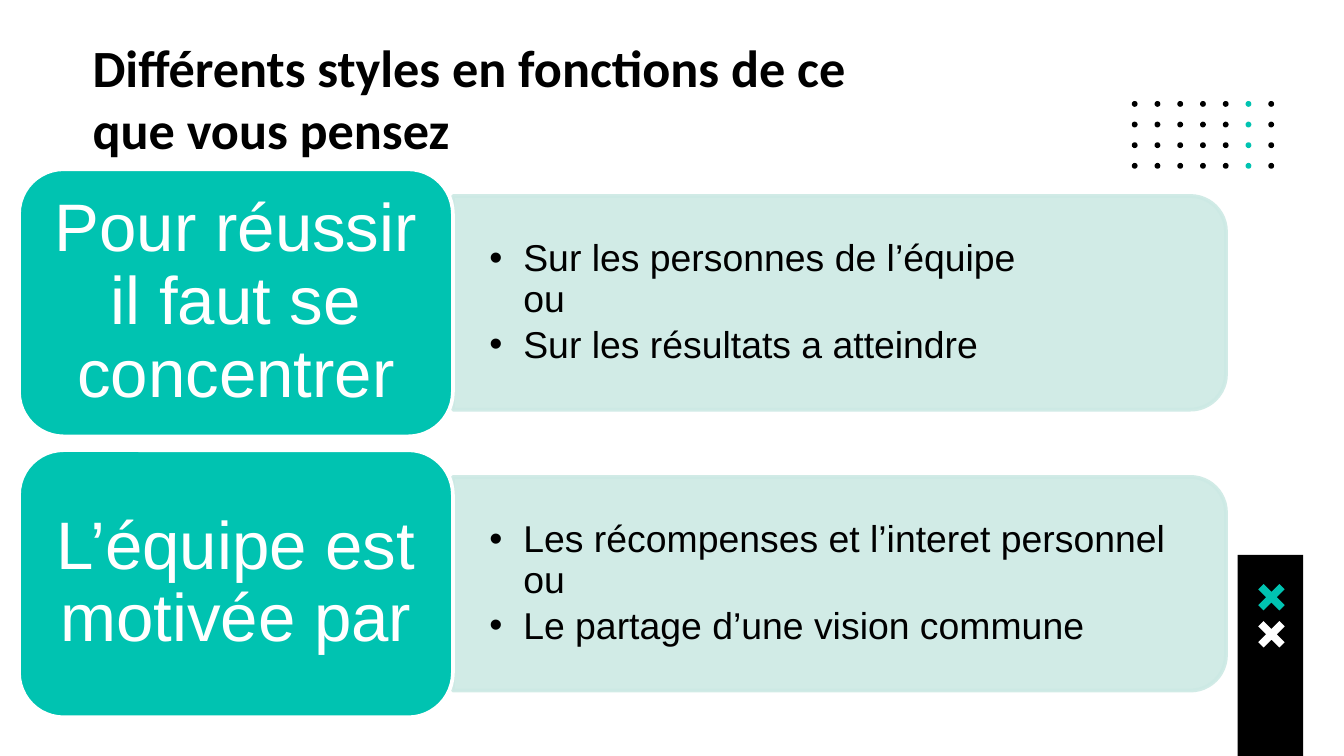
from copy import deepcopy
from lxml import etree
from pptx import Presentation
from pptx.dml.color import RGBColor
from pptx.enum.shapes import MSO_SHAPE
from pptx.enum.text import MSO_ANCHOR, MSO_AUTO_SIZE, PP_ALIGN
from pptx.oxml.ns import qn
from pptx.util import Cm, Pt

OVAL, RECT = MSO_SHAPE.OVAL, MSO_SHAPE.RECTANGLE
ROUND, ROUND_TOP = MSO_SHAPE.ROUNDED_RECTANGLE, MSO_SHAPE.ROUND_2_SAME_RECTANGLE
TOP, MIDDLE = MSO_ANCHOR.TOP, MSO_ANCHOR.MIDDLE
LEFT, CENTER = PP_ALIGN.LEFT, PP_ALIGN.CENTER
NO_FIT = MSO_AUTO_SIZE.NONE

TITLE = "Différents styles en fonctions de ce que vous pensez"
ROWS = [
    ("Pour réussir il faut se concentrer",
     ["Sur les personnes de l’équipe\vou", "Sur les résultats a atteindre"]),
    ("L’équipe est motivée par",
     ["Les récompenses et l’interet personnel\vou",
      "Le partage d’une vision commune"]),
]
THEME = {
    "accent": "00C3B1", "pale": "CCE9E4", "dark": "000000", "light": "FFFFFF",
    "title_font": "Calibri", "body_font": "Arial",
    "title": 28, "head": 36, "list": 20, "outline": 2,
}

HEAD_X, HEAD_Y, HEAD_W, HEAD_H, ROW_STEP = 0.36, 3.2, 8.2, 5.05, 5.31
PANEL_W, PANEL_H = 14.61, 4.04
LIST_W, LIST_H = 14.4, 3.66
DOT_X, DOT_Y, DOT_SIZE, DOT_DX, DOT_DY = 21.39, 1.91, 0.11, 0.43, 0.39
DOT_COLS, DOT_ROWS, ACCENT_COL = 7, 4, 5
BAR = (23.39, 10.49, 1.24, 3.8)
CROSSES = [(24.03, 11.29, "accent"), (24.03, 11.99, "light")]
CROSS_ARM = [(-0.25, -0.15), (-0.1, 0), (-0.25, 0.15)]


def color(name):
    return RGBColor.from_string(THEME[name])


def paint(sp, fill, line=None):
    sp.shadow.inherit = False
    sp.fill.solid()
    sp.fill.fore_color.rgb = color(fill)
    if line:
        sp.line.color.rgb = color(line)
        sp.line.width = Pt(THEME["outline"])
    else:
        sp.line.fill.background()


def add_shape(s, kind, box, fill, line=None):
    sp = s.shapes.add_shape(kind, *map(Cm, box))
    paint(sp, fill, line)
    return sp


def place(sp, box):
    sp.left, sp.top, sp.width, sp.height = map(Cm, box)


def set_frame(tf, anchor, dx, dy):
    tf.word_wrap = True
    tf.auto_size = NO_FIT
    tf.vertical_anchor = anchor
    tf.margin_left = tf.margin_right = Cm(dx)
    tf.margin_top = tf.margin_bottom = Cm(dy)


def set_type(p, size, font, ink, align, bold=False):
    p.alignment = align
    for r in p.runs:
        r.font.size = Pt(THEME[size])
        r.font.name = THEME[font]
        r.font.color.rgb = color(ink)
        r.font.bold = bold
    for br in p._p.findall(qn("a:br")):
        br.append(deepcopy(p.runs[0]._r.rPr))


def add_bullet(p):
    pPr = p._p.get_or_add_pPr()
    pPr.set("marL", str(Cm(0.64)))
    pPr.set("indent", str(Cm(-0.64)))
    tint = etree.SubElement(pPr, qn("a:buClr"))
    etree.SubElement(tint, qn("a:srgbClr")).set("val", THEME["dark"])
    etree.SubElement(pPr, qn("a:buFont")).set("typeface", THEME["body_font"])
    etree.SubElement(pPr, qn("a:buChar")).set("char", "•")


def add_panel(s, x, mid_y):
    box = (x + (PANEL_W - PANEL_H) / 2, mid_y - PANEL_W / 2, PANEL_H, PANEL_W)
    sp = add_shape(s, ROUND_TOP, box, "pale", "pale")
    sp.rotation = 90
    for clr in sp.element.spPr.iter(qn("a:srgbClr")):
        etree.SubElement(clr, qn("a:alpha")).set("val", "90000")


def fill_list(s, body, items, x, mid_y):
    s.shapes.element.append(body.element)
    place(body, (x, mid_y - LIST_H / 2, LIST_W, LIST_H))
    tf = body.text_frame
    set_frame(tf, MIDDLE, 0.69, 0.36)
    for i, item in enumerate(items):
        p = tf.add_paragraph() if i else tf.paragraphs[0]
        p.text = item
        add_bullet(p)
        p.line_spacing, p.space_before, p.space_after = 0.9, Pt(0), Pt(3)
        set_type(p, "list", "body_font", "dark", LEFT)


def add_head(s, text, y):
    sp = add_shape(s, ROUND, (HEAD_X, y, HEAD_W, HEAD_H), "accent", "light")
    tf = sp.text_frame
    set_frame(tf, MIDDLE, 0.38, 0.18)
    tf.text = text
    p = tf.paragraphs[0]
    p.line_spacing = 0.9
    set_type(p, "head", "body_font", "light", CENTER)


def add_cross(s, x, y, fill):
    arm, pts = CROSS_ARM, []
    for _ in range(4):
        pts += [(Cm(x + dx), Cm(y + dy)) for dx, dy in arm]
        arm = [(dy, -dx) for dx, dy in arm]
    builder = s.shapes.build_freeform(*pts[0])
    builder.add_line_segments(pts[1:], close=True)
    paint(builder.convert_to_shape(), fill)


def main():
    prs = Presentation()
    prs.slide_width, prs.slide_height = Cm(25.4), Cm(14.29)
    s = prs.slides.add_slide(prs.slide_layouts[3])
    title, *bodies = s.placeholders

    for row in range(DOT_ROWS):
        for col in range(DOT_COLS):
            box = (DOT_X + col * DOT_DX, DOT_Y + row * DOT_DY, DOT_SIZE, DOT_SIZE)
            add_shape(s, OVAL, box, "accent" if col == ACCENT_COL else "dark")
    add_shape(s, RECT, BAR, "dark")
    for cross in CROSSES:
        add_cross(s, *cross)

    place(title, (1.5, 0.41, 15.98, 2.01))
    set_frame(title.text_frame, TOP, 0.25, 0.25)
    title.text_frame.text = TITLE
    set_type(title.text_frame.paragraphs[0], "title", "title_font", "dark", LEFT, True)

    x = HEAD_X + HEAD_W
    for i, ((head, items), body) in enumerate(zip(ROWS, bodies)):
        y = HEAD_Y + i * ROW_STEP
        mid_y = y + HEAD_H / 2
        add_panel(s, x, mid_y)
        fill_list(s, body, items, x, mid_y)
        add_head(s, head, y)

    prs.save("out.pptx")


if __name__ == "__main__":
    main()
